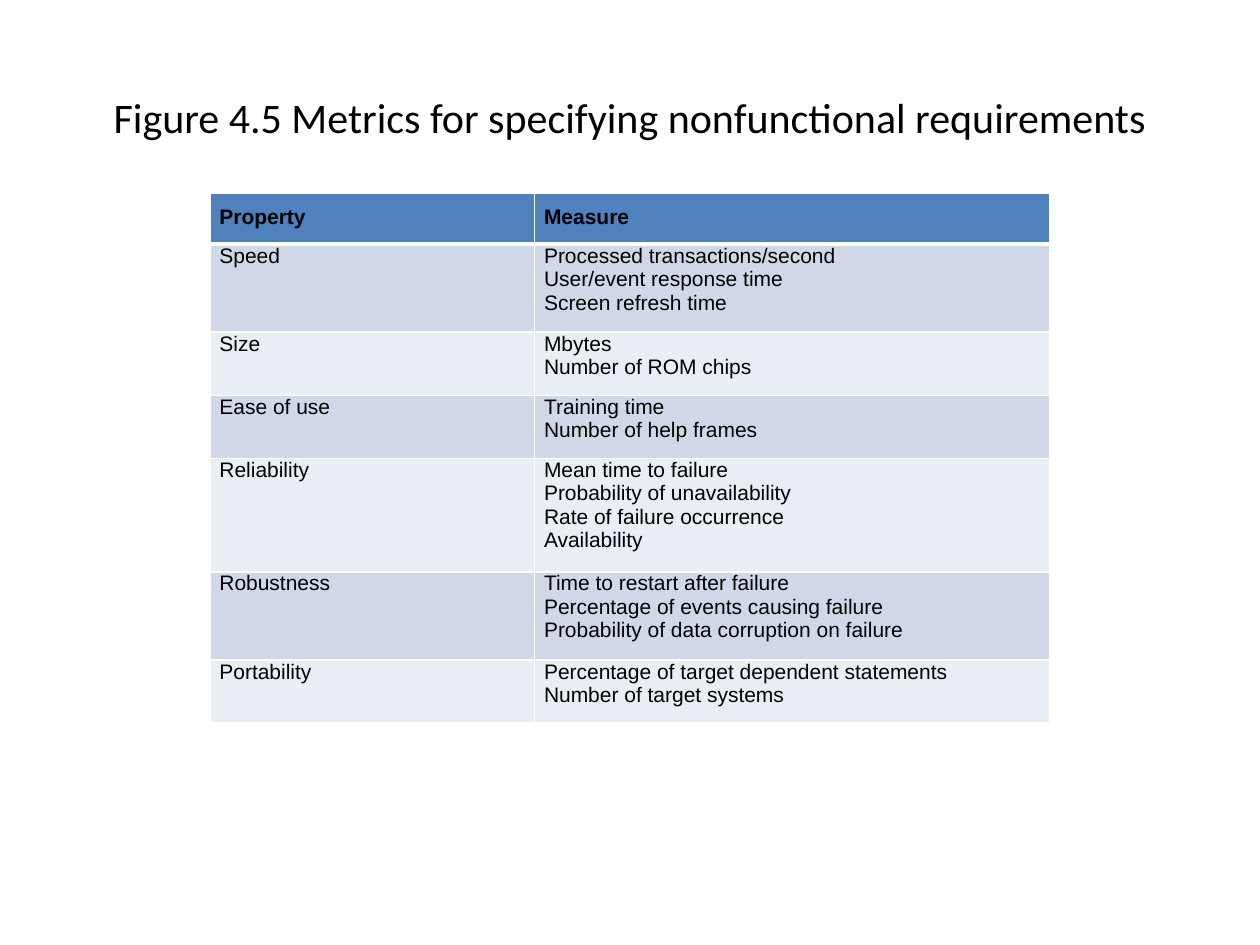
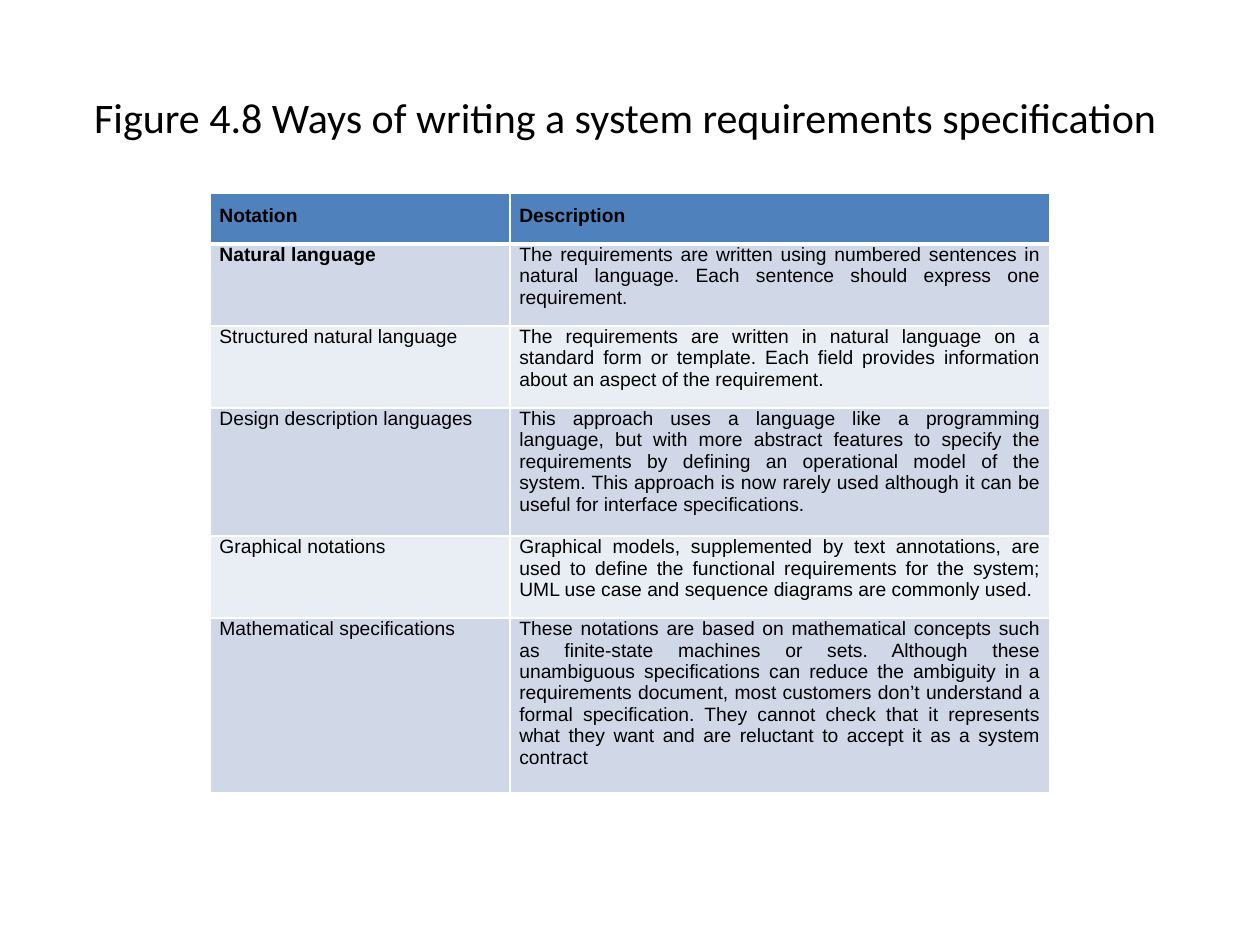
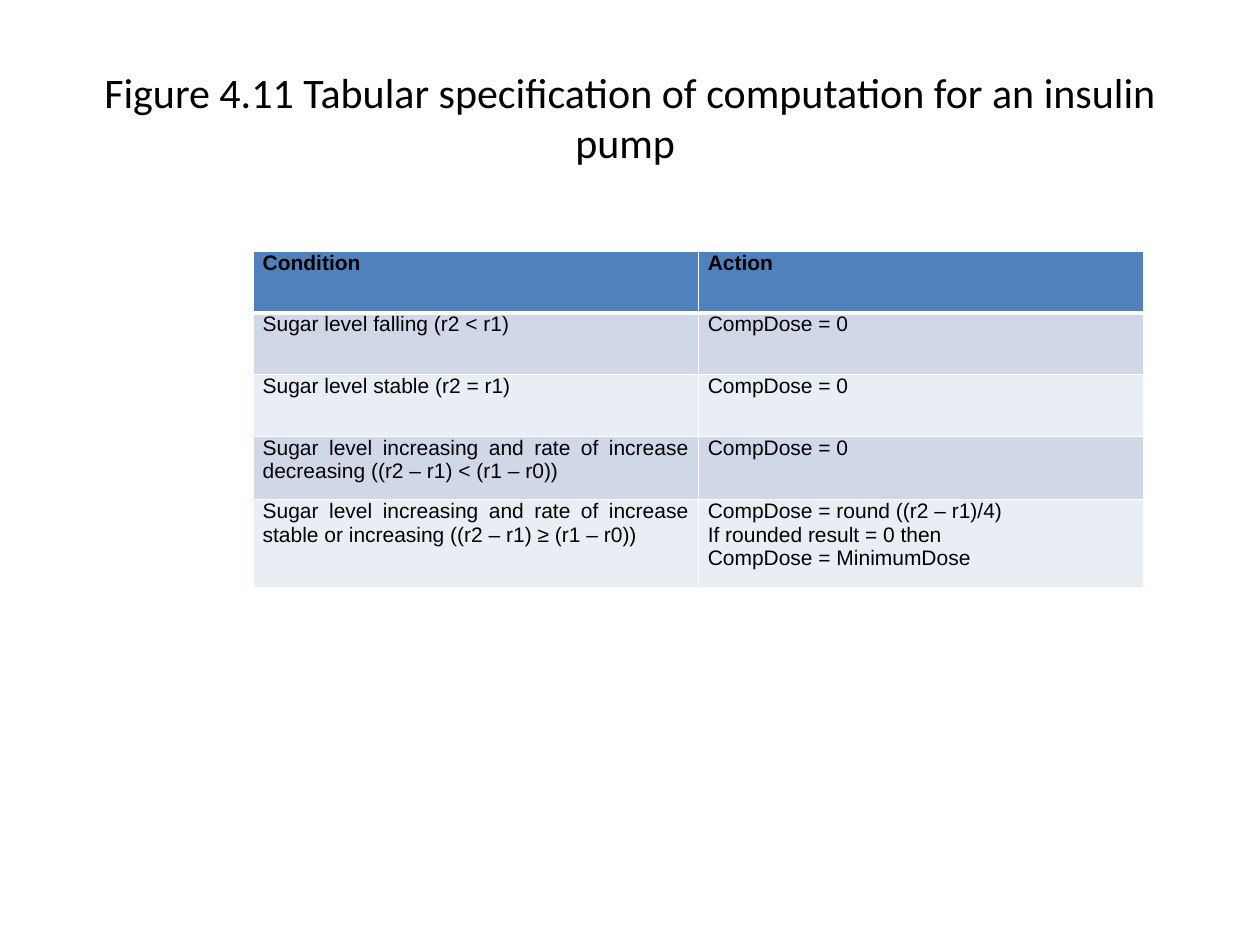
from dataclasses import dataclass

from lxml.etree import SubElement
from pptx import Presentation
from pptx.dml.color import RGBColor
from pptx.enum.text import MSO_ANCHOR, PP_ALIGN
from pptx.oxml.ns import qn
from pptx.util import Pt

BLACK = RGBColor(0x00, 0x00, 0x00)
WHITE = RGBColor(0xFF, 0xFF, 0xFF)
HEADER_BLUE = RGBColor(0x4F, 0x81, 0xBD)
ROW_BANDS = (RGBColor(0xD0, 0xD8, 0xE8), RGBColor(0xE9, 0xED, 0xF4))

TITLE_FONT, TITLE_SIZE = "Calibri", 24
TABLE_FONT = "Arial"
SIDE_INSET, END_INSET = 5.4, 7.2
THIN_RULE, HEADER_RULE = 1, 3


@dataclass(frozen=True)
class Figure:
    """A titled table; the first row is its header, and lengths are points."""
    title: str
    left: float
    top: float
    height: float
    column_widths: tuple[float, float]
    row_heights: tuple[float, ...]
    font_size: float
    rows: tuple[tuple[str, str], ...]
    header_top_inset: float = END_INSET
    bold_labels: tuple[str, ...] = ()


FIGURES = (
    Figure(
        title="Figure 4.5 Metrics for specifying nonfunctional requirements",
        left=120, top=110.2, height=303,
        column_widths=(185.5, 294.5), row_heights=(29.2,) * 7, font_size=12,
        rows=(
            ("Property", "Measure"),
            ("Speed", "Processed transactions/second\nUser/event response time\n"
                      "Screen refresh time"),
            ("Size", "Mbytes\nNumber of ROM chips"),
            ("Ease of use", "Training time\nNumber of help frames"),
            ("Reliability", "Mean time to failure\nProbability of unavailability\n"
                            "Rate of failure occurrence\nAvailability"),
            ("Robustness", "Time to restart after failure\n"
                           "Percentage of events causing failure\n"
                           "Probability of data corruption on failure"),
            ("Portability", "Percentage of target dependent statements\n"
                            "Number of target systems"),
        ),
    ),
    Figure(
        title="Figure 4.8 Ways of writing a system requirements specification ",
        left=120, top=110.2, height=342.6,
        column_widths=(171.4, 308.6), row_heights=(29.2,) * 6, font_size=11,
        rows=(
            ("Notation", "Description"),
            ("Natural language",
             "The requirements are written using numbered sentences in natural "
             "language. Each sentence should express one requirement."),
            ("Structured natural language",
             "The requirements are written in natural language on a standard form "
             "or template. Each field provides information about an aspect of the "
             "requirement."),
            ("Design description languages",
             "This approach uses a language like a programming language, but with "
             "more abstract features to specify the requirements by defining an "
             "operational model of the system. This approach is now rarely used "
             "although it can be useful for interface specifications."),
            ("Graphical notations",
             "Graphical models, supplemented by text annotations, are used to "
             "define the functional requirements for the system; UML use case and "
             "sequence diagrams are commonly used."),
            ("Mathematical specifications",
             "These notations are based on mathematical concepts such as "
             "finite-state machines or sets. Although these unambiguous "
             "specifications can reduce the ambiguity in a requirements document, "
             "most customers don’t understand a formal specification. They cannot "
             "check that it represents what they want and are reluctant to accept "
             "it as a system contract"),
        ),
        bold_labels=("Natural language",),
    ),
    Figure(
        title="Figure 4.11 Tabular specification of computation for an insulin pump ",
        left=144.7, top=143.5, height=192.2,
        column_widths=(254.4, 254.4), row_heights=(35.3,) * 4 + (48,), font_size=12,
        rows=(
            ("Condition", "Action"),
            ("Sugar level falling (r2 < r1)", "CompDose = 0"),
            ("Sugar level stable (r2 = r1)", "CompDose = 0"),
            ("Sugar level increasing and rate of increase decreasing "
             "((r2 – r1) < (r1 – r0))", "CompDose = 0"),
            ("Sugar level increasing and rate of increase stable or increasing "
             "((r2 – r1) ≥ (r1 – r0))",
             "CompDose = round ((r2 – r1)/4)\nIf rounded result = 0 then\n"
             "CompDose = MinimumDose"),
        ),
        header_top_inset=0,
    ),
)


def add_title(slide, title: str) -> None:
    frame = slide.shapes.add_textbox(Pt(36), Pt(21.6), Pt(648), Pt(90)).text_frame
    frame.word_wrap = True
    frame.vertical_anchor = MSO_ANCHOR.MIDDLE
    frame.text = title
    heading = frame.paragraphs[0]
    heading.alignment = PP_ALIGN.CENTER
    heading.font.name = TITLE_FONT
    heading.font.size = Pt(TITLE_SIZE)
    heading.font.color.rgb = BLACK


def add_borders(cell, top: float, bottom: float) -> None:
    """Rule all four sides in white; call before filling, as lines come first."""
    properties = cell._tc.get_or_add_tcPr()
    widths = {"a:lnL": THIN_RULE, "a:lnR": THIN_RULE, "a:lnT": top, "a:lnB": bottom}
    for side, width in widths.items():
        line = SubElement(properties, qn(side), w=str(Pt(width)))
        fill = SubElement(line, qn("a:solidFill"))
        SubElement(fill, qn("a:srgbClr"), val=str(WHITE))


def fill_cell(cell, text: str, row: int, bold: bool, figure: Figure) -> None:
    is_header = row == 0
    add_borders(cell,
                top=HEADER_RULE if row == 1 else THIN_RULE,
                bottom=HEADER_RULE if is_header else THIN_RULE)
    cell.fill.solid()
    cell.fill.fore_color.rgb = HEADER_BLUE if is_header else ROW_BANDS[(row - 1) % 2]
    cell.margin_left = cell.margin_right = Pt(SIDE_INSET)
    cell.margin_top = Pt(figure.header_top_inset if is_header else 0)
    cell.margin_bottom = Pt(END_INSET)
    cell.text_frame.text = text
    for paragraph in cell.text_frame.paragraphs:
        paragraph.alignment = PP_ALIGN.JUSTIFY
        paragraph.font.name = TABLE_FONT
        paragraph.font.size = Pt(figure.font_size)
        paragraph.font.bold = bold
        paragraph.font.color.rgb = BLACK


def add_figure_table(slide, figure: Figure) -> None:
    holder = slide.shapes.add_table(
        len(figure.rows), len(figure.column_widths), Pt(figure.left), Pt(figure.top),
        Pt(sum(figure.column_widths)), Pt(figure.height))
    table = holder.table
    for column, width in zip(table.columns, figure.column_widths):
        column.width = Pt(width)
    for row, height in zip(table.rows, figure.row_heights):
        row.height = Pt(height)
    holder.height = Pt(figure.height)
    for r, entries in enumerate(figure.rows):
        for c, text in enumerate(entries):
            bold = r == 0 or text in figure.bold_labels
            fill_cell(table.cell(r, c), text, r, bold, figure)


def main() -> None:
    deck = Presentation()
    deck.slide_width, deck.slide_height = Pt(720), Pt(540)
    for figure in FIGURES:
        slide = deck.slides.add_slide(deck.slide_layouts[6])
        add_title(slide, figure.title)
        add_figure_table(slide, figure)
    deck.save("out.pptx")


if __name__ == "__main__":
    main()
